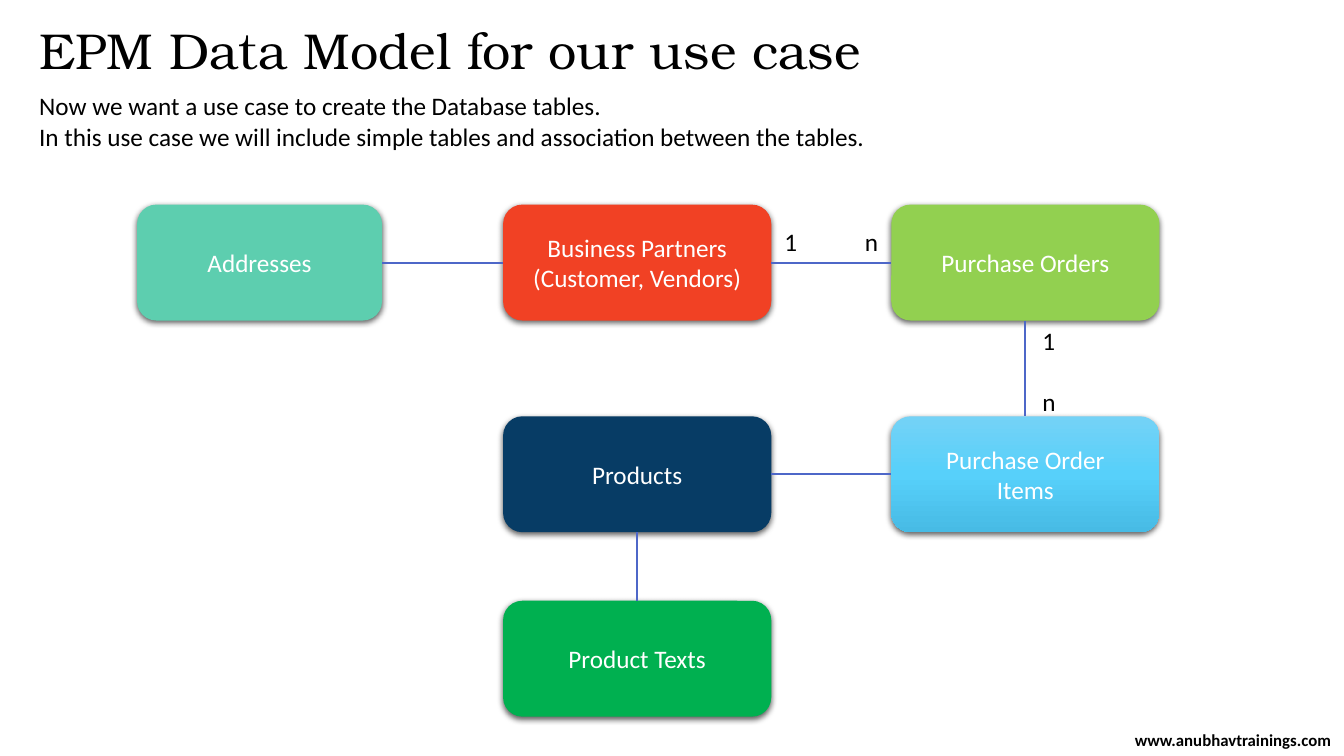
from copy import deepcopy
from dataclasses import dataclass

from lxml import etree
from pptx import Presentation
from pptx import util as u
from pptx.dml.color import RGBColor
from pptx.enum import shapes, text
from pptx.oxml import ns
from pptx.shapes.autoshape import Shape
from pptx.slide import Slide


@dataclass(frozen=True)
class Theme:
    heading_font: str = "TeX Gyre Bonum"
    body_font: str = "Calibri"
    title_size: int = 36
    body_size: int = 18
    footer_size: int = 12
    ink: str = "000000"
    entity_ink: str = "FFFFFF"
    link: str = "4E67C8"
    link_width: float = 1.5
    teal: str = "5DCEAF"
    red: str = "F14124"
    lime: str = "92D050"
    navy: str = "073C65"
    green: str = "00B050"
    sky: tuple[str, ...] = ("74D2F6", "57D0FA", "47BBE5")


THEME = Theme()
ENTITY_HEIGHT = 1.15
COLUMNS = ((1.36, 2.43), (4.99, 2.66), (8.84, 2.66))
ROWS = (2.03, 4.13, 5.96)
TOP, LEFT, BOTTOM, RIGHT = range(4)


@dataclass(frozen=True)
class Entity:
    lines: tuple[str, ...]
    column: int
    row: int
    colours: tuple[str, ...]


@dataclass(frozen=True)
class Association:
    start: str
    start_side: int
    end: str
    end_side: int


@dataclass(frozen=True)
class Caption:
    lines: tuple[str, ...]
    box: tuple[float, float, float, float]
    size: int = THEME.body_size
    font: str = THEME.body_font
    bold: bool = False
    anchor: text.MSO_ANCHOR = text.MSO_ANCHOR.TOP
    align: text.PP_ALIGN = text.PP_ALIGN.LEFT
    line_spacing: float | None = None
    gap: float = 0
    tab: float | None = None


ENTITIES = {
    "addresses": Entity(("Addresses",), 0, 0, (THEME.teal,)),
    "partners": Entity(("Business Partners", "(Customer, Vendors)"), 1, 0, (THEME.red,)),
    "orders": Entity(("Purchase Orders",), 2, 0, (THEME.lime,)),
    "items": Entity(("Purchase Order", "Items"), 2, 1, THEME.sky),
    "products": Entity(("Products",), 1, 1, (THEME.navy,)),
    "product_texts": Entity(("Product Texts",), 1, 2, (THEME.green,)),
}

ASSOCIATIONS = (
    Association("addresses", RIGHT, "partners", LEFT),
    Association("partners", RIGHT, "orders", LEFT),
    Association("orders", BOTTOM, "items", TOP),
    Association("products", RIGHT, "items", LEFT),
    Association("products", BOTTOM, "product_texts", TOP),
)

CAPTIONS = (
    Caption(("EPM Data Model for our use case",), (0.29, 0.21, 12.16, 0.65),
            size=THEME.title_size, font=THEME.heading_font, line_spacing=0.9),
    Caption(("Now we want a use case to create the Database tables.",
             "In this use case we will include simple tables and association "
             "between the tables."), (0.29, 0.85, 12.21, 0.71)),
    Caption(("www.anubhavtrainings.com",), (11.13, 7.26, 2.2, 0.16),
            size=THEME.footer_size, bold=True,
            anchor=text.MSO_ANCHOR.MIDDLE, align=text.PP_ALIGN.CENTER),
    Caption(("1\tn",), (7.68, 2.2, 1.19, 0.4), tab=0.8),
    Caption(("1", "n"), (10.24, 3.18, 0.37, 1.01), gap=22),
)


def write_lines(shape: Shape, lines: tuple[str, ...], colour: str,
                font_format: dict, paragraph_format: dict, gap: float = 0) -> None:
    frame = shape.text_frame
    frame.word_wrap = True
    for index, line in enumerate(lines):
        paragraph = frame.add_paragraph() if index else frame.paragraphs[0]
        for name, value in paragraph_format.items():
            setattr(paragraph, name, value)
        if index and gap:
            paragraph.space_before = u.Pt(gap)
        run = paragraph.add_run()
        run.text = line
        for name, value in font_format.items():
            setattr(run.font, name, value)
        run.font.color.rgb = RGBColor.from_string(colour)


def add_effects(shape_properties: etree._Element) -> etree._Element:
    """Add an empty effect list, which switches off the theme shadow."""
    return etree.SubElement(shape_properties, ns.qn("a:effectLst"))


def add_soft_shadow(shape: Shape) -> None:
    shadow = etree.SubElement(
        add_effects(shape._element.spPr), ns.qn("a:outerShdw"),
        blurRad=str(u.Pt(4.5)), dist=str(u.Pt(1.5)), dir="5400000",
        algn="ctr", rotWithShape="0")
    black = etree.SubElement(shadow, ns.qn("a:srgbClr"), val=THEME.ink)
    etree.SubElement(black, ns.qn("a:alpha"), val="63000")


def paint(shape: Shape, colours: tuple[str, ...]) -> None:
    """Fill with one colour, or with three from top to bottom."""
    if len(colours) == 1:
        shape.fill.solid()
        shape.fill.fore_color.rgb = RGBColor.from_string(colours[0])
        return
    shape.fill.gradient()
    shape.fill.gradient_angle = 270
    stops = shape._element.spPr.find(".//" + ns.qn("a:gsLst"))
    stops.insert(1, deepcopy(stops[0]))
    for index, (stop, colour) in enumerate(zip(shape.fill.gradient_stops, colours)):
        stop.position = index / (len(colours) - 1)
        stop.color.rgb = RGBColor.from_string(colour)


def draw_entity(slide: Slide, entity: Entity) -> Shape:
    left, width = COLUMNS[entity.column]
    box = (left, ROWS[entity.row], width, ENTITY_HEIGHT)
    shape = slide.shapes.add_shape(
        shapes.MSO_SHAPE.ROUNDED_RECTANGLE, *map(u.Inches, box))
    paint(shape, entity.colours)
    shape.line.fill.background()
    add_soft_shadow(shape)
    shape.text_frame.vertical_anchor = text.MSO_ANCHOR.MIDDLE
    write_lines(shape, entity.lines, THEME.entity_ink,
                {"name": THEME.body_font, "size": u.Pt(THEME.body_size)},
                {"alignment": text.PP_ALIGN.CENTER})
    return shape


def draw_association(slide: Slide, link: Association, drawn: dict[str, Shape]) -> None:
    line = slide.shapes.add_connector(shapes.MSO_CONNECTOR.STRAIGHT, 0, 0, 0, 0)
    line.begin_connect(drawn[link.start], link.start_side)
    line.end_connect(drawn[link.end], link.end_side)
    line.line.color.rgb = RGBColor.from_string(THEME.link)
    line.line.width = u.Pt(THEME.link_width)
    add_effects(line._element.spPr)


def draw_caption(slide: Slide, caption: Caption) -> None:
    box = slide.shapes.add_textbox(*map(u.Inches, caption.box))
    box.text_frame.vertical_anchor = caption.anchor
    write_lines(box, caption.lines, THEME.ink,
                {"name": caption.font, "size": u.Pt(caption.size), "bold": caption.bold},
                {"alignment": caption.align, "line_spacing": caption.line_spacing},
                caption.gap)
    if caption.tab:
        properties = box.text_frame.paragraphs[0]._p.get_or_add_pPr()
        tabs = etree.SubElement(properties, ns.qn("a:tabLst"))
        etree.SubElement(tabs, ns.qn("a:tab"), pos=str(u.Inches(caption.tab)), algn="l")


def main() -> None:
    deck = Presentation()
    deck.slide_width, deck.slide_height = u.Inches(13.33), u.Inches(7.5)
    slide = deck.slides.add_slide(deck.slide_layouts[6])
    drawn = {key: draw_entity(slide, entity) for key, entity in ENTITIES.items()}
    for link in ASSOCIATIONS:
        draw_association(slide, link, drawn)
    for caption in CAPTIONS:
        draw_caption(slide, caption)
    deck.save("out.pptx")


if __name__ == "__main__":
    main()
